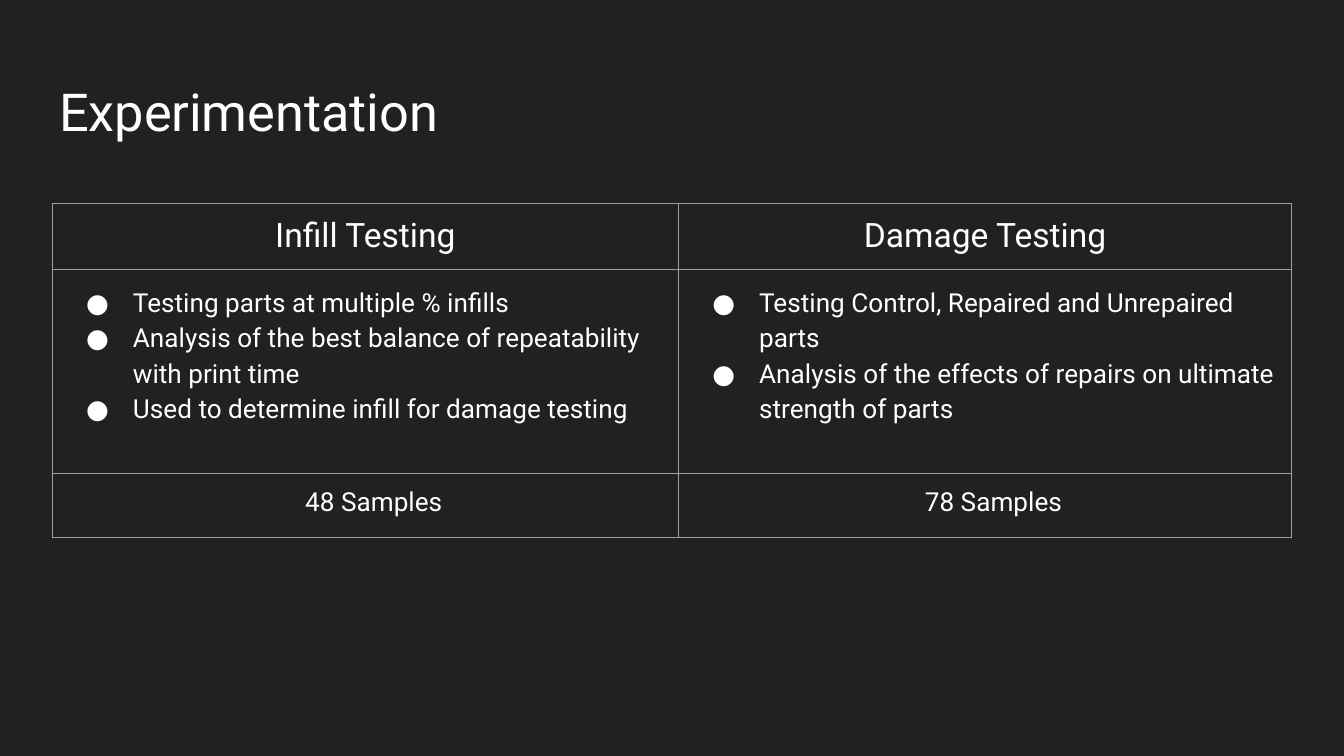
from lxml import etree
from pptx import Presentation
from pptx.dml.color import RGBColor
from pptx.enum.text import MSO_ANCHOR, MSO_AUTO_SIZE, PP_ALIGN
from pptx.oxml.ns import qn
from pptx.util import Pt

LEFT, MID = PP_ALIGN.LEFT, PP_ALIGN.CENTER
TOP, FIXED = MSO_ANCHOR.TOP, MSO_AUTO_SIZE.NONE

TITLE = "Experimentation"
TESTS = [
    {
        "name": "Infill Testing",
        "points": [
            "Testing parts at multiple % infills",
            "Analysis of the best balance of repeatability with print time",
            "Used to determine infill for damage testing",
        ],
        "count": "48 Samples",
    },
    {
        "name": "Damage Testing",
        "points": [
            "Testing Control, Repaired and Unrepaired parts",
            "Analysis of the effects of repairs on ultimate strength of parts",
        ],
        "count": "78 Samples",
    },
]
FONT, INK, DARK, RULE = "Roboto", "FFFFFF", "212121", "9E9E9E"
WIDTHS = [335.5, 328.5]
HEIGHTS = [35.5, 109.3, 34.3]
INSET = Pt(7.2)


def paint(color, code):
    color.rgb = RGBColor.from_string(code)


def write(para, text, size, align=LEFT):
    para.alignment = align
    run = para.add_run()
    run.text = text
    run.font.name = FONT
    run.font.size = Pt(size)
    paint(run.font.color, INK)


def pad(box):
    box.margin_left = box.margin_right = INSET
    box.margin_top = box.margin_bottom = INSET


def indent(para, left, hang):
    props = para._p.get_or_add_pPr()
    props.set("marL", str(Pt(left)))
    props.set("indent", str(-Pt(hang)))
    return props


def bullet(para):
    props = indent(para, 36, 25)
    para.line_spacing = 1.15
    tint = etree.SubElement(props, qn("a:buClr"))
    etree.SubElement(tint, qn("a:srgbClr"), val=INK)
    etree.SubElement(props, qn("a:buFont"), typeface=FONT)
    etree.SubElement(props, qn("a:buChar"), char="●")


def border(cell):
    props = cell._tc.get_or_add_tcPr()
    for spot, side in enumerate(("L", "R", "T", "B")):
        line = etree.Element(qn("a:ln" + side), w=str(Pt(0.75)))
        fill = etree.SubElement(line, qn("a:solidFill"))
        etree.SubElement(fill, qn("a:srgbClr"), val=RULE)
        props.insert(spot, line)


deck = Presentation()
deck.slide_width, deck.slide_height = Pt(720), Pt(405)
slide = deck.slides.add_slide(deck.slide_layouts[5])
back = slide.background.fill
back.solid()
paint(back.fore_color, DARK)

title = slide.shapes.title
title.left, title.top, title.width, title.height = map(Pt, (24.5, 35.3, 671, 45.4))
frame = title.text_frame
frame.auto_size, frame.vertical_anchor, frame.word_wrap = FIXED, TOP, True
pad(frame)
write(frame.paragraphs[0], TITLE, 28)

table = slide.shapes.add_table(
    len(HEIGHTS), len(TESTS), Pt(28), Pt(109), Pt(sum(WIDTHS)), Pt(sum(HEIGHTS))
).table
table.first_row = table.horz_banding = False
for row, height in zip(table.rows, HEIGHTS):
    row.height = Pt(height)
for col, width in zip(table.columns, WIDTHS):
    col.width = Pt(width)

for cell in table.iter_cells():
    cell.fill.background()
    cell.vertical_anchor = TOP
    pad(cell)
    border(cell)

for col, test in enumerate(TESTS):
    head, body, foot = (table.cell(row, col).text_frame for row in range(3))
    write(head.paragraphs[0], test["name"], 18, MID)
    for num, point in enumerate(test["points"]):
        para = body.add_paragraph() if num else body.paragraphs[0]
        bullet(para)
        write(para, point, 14)
    para = foot.paragraphs[0]
    indent(para, 18, 9)
    write(para, test["count"], 14, MID)

deck.save("out.pptx")
